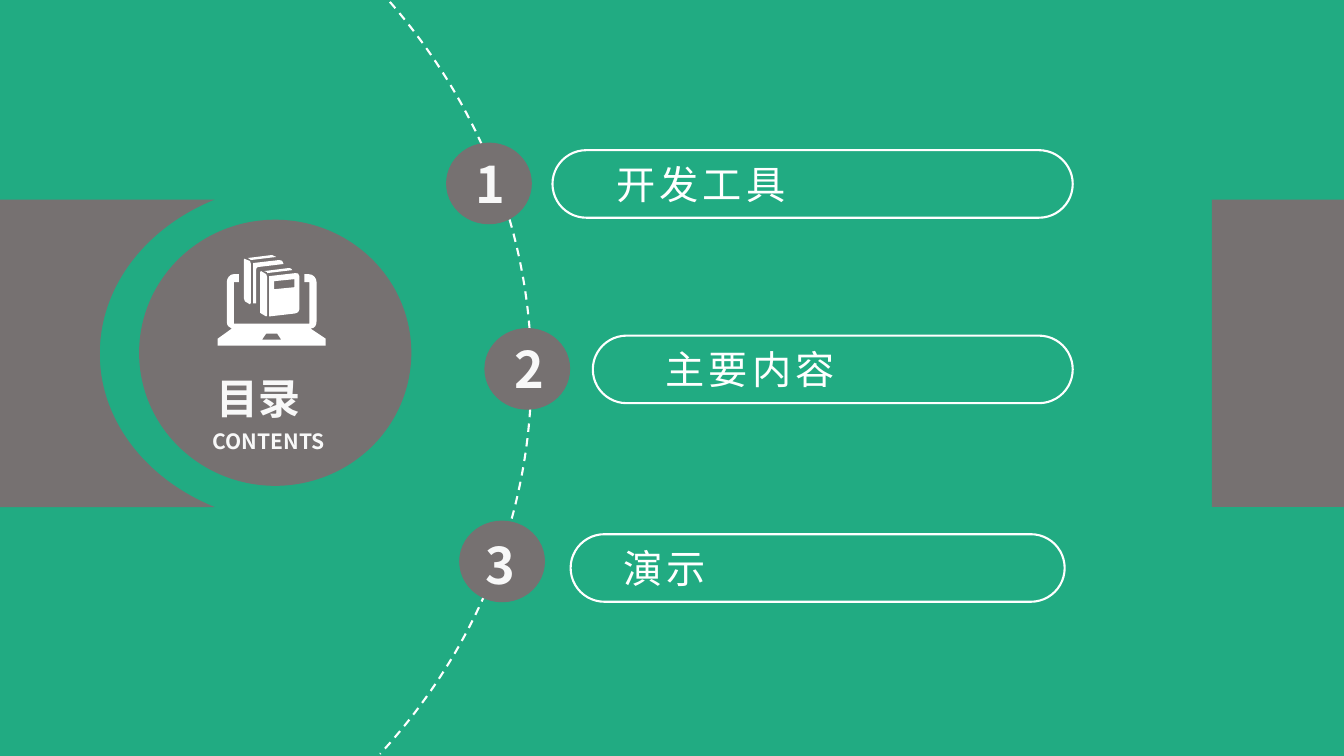
from dataclasses import dataclass
from lxml.etree import SubElement
from pptx import Presentation
from pptx.dml.color import RGBColor
from pptx.enum.dml import MSO_LINE
from pptx.enum.shapes import MSO_SHAPE
from pptx.enum.text import MSO_ANCHOR, MSO_AUTO_SIZE, PP_ALIGN
from pptx.oxml.ns import qn
from pptx.util import Inches, Pt

# Content: number, its place, disc place, label, its left, pill left, top, width
ROWS = [
    ("1", (4.6, 1.46), (4.43, 1.42), "开发工具", 5.99, (5.48, 1.49, 5.16)),
    ("2", (4.98, 3.29), (4.81, 3.26), "主要内容", 6.48, (5.88, 3.33, 4.76)),
    ("3", (4.7, 5.24), (4.56, 5.17), "演示", 6.06, (5.66, 5.3, 4.9)),
]
TITLE, SUB = "目录", "CONTENTS"

# Outlines: two numbers are a line to a point, six are a Bezier curve
BAND = [[(2.13, 5.03), (0, 5.03), (0, 1.98), (2.13, 1.98),
         (1.46, 2.25, 0.99, 2.83, 0.99, 3.51),
         (0.99, 4.18, 1.46, 4.76, 2.13, 5.03)]]
ARC = [[(3.77, -0.09), (4.7, 0.93, 5.27, 2.25, 5.27, 3.7),
        (5.27, 5.15, 4.7, 6.47, 3.77, 7.48)]]
ICON = [
    # Touch pad
    [(2.64, 3.31), (2.75, 3.31), (2.79, 3.37), (2.6, 3.37)],
    # Back book: top and spine
    [(2.46, 2.56), (2.49, 2.58), (2.74, 2.55),
     (2.73, 2.54, 2.72, 2.53, 2.7, 2.53)],
    [(2.43, 2.57), (2.48, 2.59), (2.48, 2.6, 2.49, 2.61, 2.49, 2.62),
     (2.49, 3), (2.49, 3.01, 2.48, 3.02, 2.48, 3.02), (2.43, 2.99),
     (2.42, 2.98, 2.42, 2.97, 2.42, 2.96), (2.42, 2.58),
     (2.42, 2.57, 2.42, 2.56, 2.43, 2.57)],
    # Front book: top, spine, cover and its label
    [(2.62, 2.69), (2.65, 2.7), (2.65, 2.71), (2.9, 2.68),
     (2.89, 2.66, 2.88, 2.66, 2.86, 2.66)],
    [(2.59, 2.69), (2.64, 2.72), (2.64, 2.72, 2.65, 2.74, 2.65, 2.75),
     (2.65, 3.13), (2.65, 3.14, 2.64, 3.14, 2.64, 3.14), (2.59, 3.11),
     (2.58, 3.11, 2.58, 3.1, 2.58, 3.09), (2.58, 2.7),
     (2.58, 2.69, 2.58, 2.69, 2.59, 2.69)],
    [(2.67, 2.74), (2.93, 2.71), (2.95, 2.7, 2.97, 2.72, 2.97, 2.74),
     (2.97, 3.07), (2.97, 3.09, 2.95, 3.11, 2.93, 3.11), (2.67, 3.14)],
    [(2.72, 2.79), (2.92, 2.77), (2.92, 2.85), (2.72, 2.87)],
    # Back cover
    [(2.51, 2.61), (2.77, 2.58), (2.79, 2.58, 2.81, 2.59, 2.81, 2.61),
     (2.81, 2.62), (2.56, 2.65), (2.55, 2.65, 2.54, 2.66, 2.54, 2.68),
     (2.54, 3.01), (2.51, 3.01)],
    # Laptop
    [(2.32, 2.8), (2.37, 2.8), (2.37, 2.72), (2.32, 2.72),
     (2.28, 2.72, 2.25, 2.76, 2.25, 2.8), (2.25, 3.19),
     (2.25, 3.23, 2.27, 3.25, 2.3, 3.26), (2.16, 3.36), (2.16, 3.43),
     (3.23, 3.43), (3.23, 3.36), (3.08, 3.26),
     (3.12, 3.26, 3.14, 3.23, 3.14, 3.19), (3.14, 2.8),
     (3.14, 2.76, 3.11, 2.72, 3.06, 2.72), (3.02, 2.72), (3.02, 2.8),
     (3.07, 2.8), (3.07, 3.21), (2.32, 3.21)],
]


@dataclass
class Theme:
    back: str = "21AB82"
    gray: str = "767171"
    white: str = "FFFFFF"
    pale: str = "F8F8F8"
    font: str = "Noto Sans CJK SC"
    label: int = 28
    num: int = 36
    title: int = 30
    sub: int = 15


T = Theme()
rgb = RGBColor.from_string
deck = Presentation()
deck.slide_width, deck.slide_height = Inches(13.33), Inches(7.5)
slide = deck.slides.add_slide(deck.slide_layouts[5])
shapes = slide.shapes
slide.background.fill.solid()
slide.background.fill.fore_color.rgb = rgb(T.back)


def paint(shape, fill=None, line=None, width=1.5):
    shape.shadow.inherit = False
    if fill:
        shape.fill.solid()
        shape.fill.fore_color.rgb = rgb(fill)
    else:
        shape.fill.background()
    if line:
        shape.line.color.rgb = rgb(line)
        shape.line.width = Pt(width)
    else:
        shape.line.fill.background()
    return shape


def add(kind, box, **look):
    return paint(shapes.add_shape(kind, *map(Inches, box)), **look)


def draw(outline, close=True, **look):
    # Straight lines between the end points
    pen = None
    for steps in outline:
        first, *rest = [tuple(map(Inches, s[-2:])) for s in steps]
        if pen:
            pen.move_to(*first)
        else:
            pen = shapes.build_freeform(*first, scale=1.0)
        pen.add_line_segments(rest, close=close)
    shape = pen.convert_to_shape()
    # Bend the lines that have control points
    lines = list(shape._element.iter(qn("a:lnTo")))
    moves = [s for steps in outline for s in steps[1:]]
    for line, move in zip(lines, moves):
        if len(move) == 6:
            line.tag = qn("a:cubicBezTo")
            for i in (2, 0):
                pt = line.makeelement(qn("a:pt"))
                pt.set("x", str(Inches(move[i]) - shape.left))
                pt.set("y", str(Inches(move[i + 1]) - shape.top))
                line.insert(0, pt)
    return paint(shape, **look)


def write(text, box, size, color, bold=False, gap=0, wrap=False,
          align=PP_ALIGN.LEFT, holder=None):
    item = holder or shapes.add_textbox(*map(Inches, box))
    item.left, item.top, item.width, item.height = map(Inches, box)
    frame = item.text_frame
    frame.margin_left = frame.margin_right = Inches(0.12)
    frame.margin_top = frame.margin_bottom = Inches(0.06)
    frame.word_wrap = wrap
    frame.auto_size = MSO_AUTO_SIZE.SHAPE_TO_FIT_TEXT
    frame.vertical_anchor = MSO_ANCHOR.TOP
    para = frame.paragraphs[0]
    para.alignment = align
    run = para.add_run()
    run.text = text
    run.font.size, run.font.bold = Pt(size), bold
    run.font.color.rgb = rgb(color)
    run.font.name = T.font
    props = run.font._element
    SubElement(props, qn("a:ea")).set("typeface", T.font)
    if gap:
        props.set("spc", str(gap * 100))
    return item


# Side bands and dashed arc
add(MSO_SHAPE.RECTANGLE, (12.02, 1.98, 1.31, 3.05), fill=T.gray)
draw(BAND, fill=T.gray)
draw(ARC, close=False, line=T.white).line.dash_style = MSO_LINE.DASH

# Numbered rows
for num, spot, disc, label, left, (x, y, wide) in ROWS:
    add(MSO_SHAPE.OVAL, (*disc, 0.84, 0.8), fill=T.gray, line=T.gray,
        width=0.75)
    pill = add(MSO_SHAPE.ROUNDED_RECTANGLE, (x, y, wide, 0.67), line=T.white)
    pill.adjustments[0] = 0.5
    span = 0.24 + 0.435 * len(label)
    write(label, (left, y + 0.04, span, 0.59), T.label, T.white, gap=3)
    write(num, (*spot, 0.55, 0.73), T.num, T.pale, bold=True)

# Title disc, with the title raised above it
add(MSO_SHAPE.OVAL, (1.38, 2.18, 2.7, 2.64), fill=T.gray)
draw(ICON, fill=T.white)
head = write(TITLE, (2.03, 3.64, 1.33, 0.63), T.title, T.pale, bold=True,
             wrap=True, align=PP_ALIGN.JUSTIFY, holder=shapes.title)
shapes._spTree.append(head._element)
write(SUB, (1.99, 4.19, 1.42, 0.37), T.sub, T.pale, bold=True)

deck.save("out.pptx")
